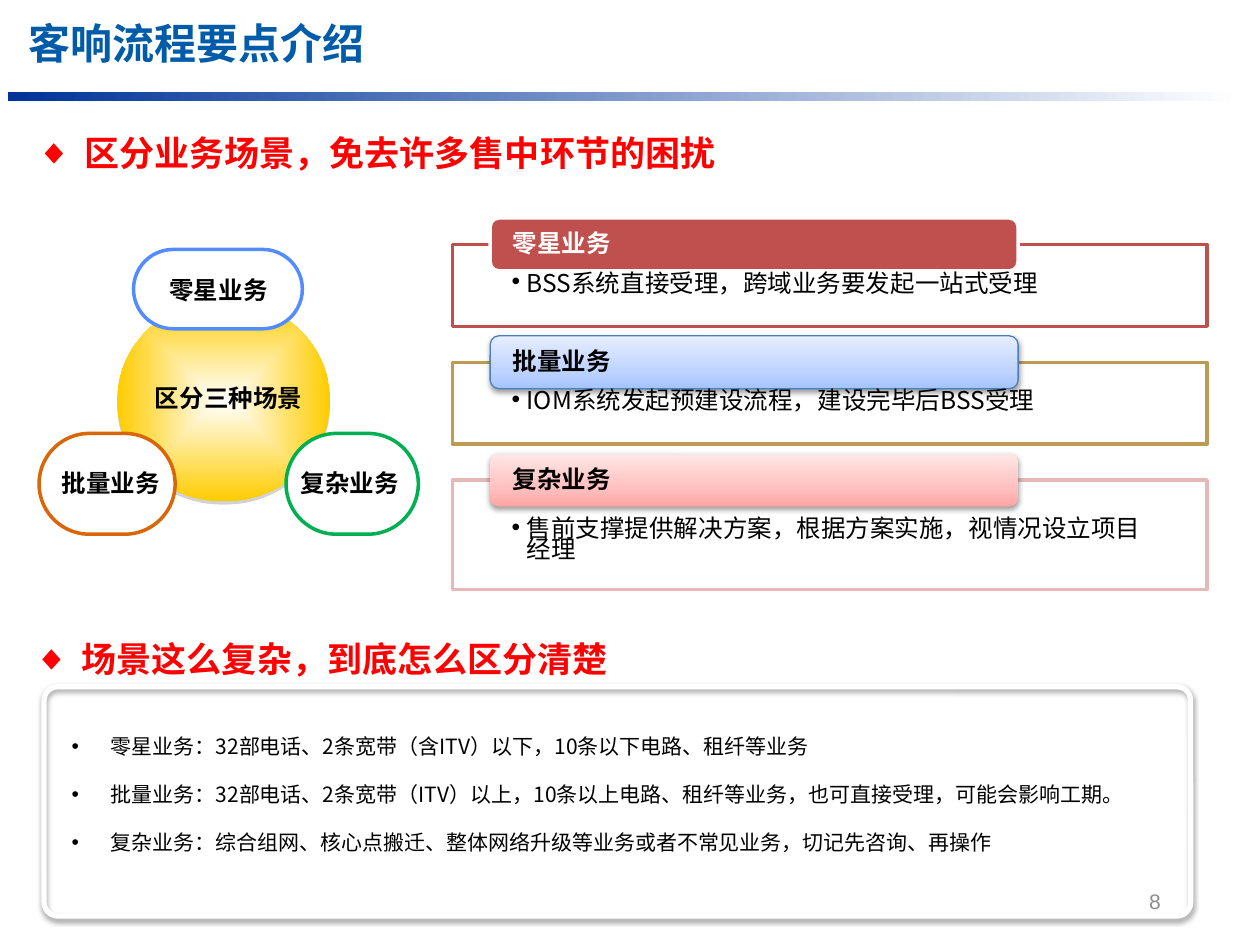
from lxml.etree import SubElement
from pptx import Presentation
from pptx.dml.color import RGBColor
from pptx.enum.shapes import MSO_SHAPE
from pptx.enum.text import MSO_ANCHOR, PP_ALIGN
from pptx.oxml import parse_xml
from pptx.oxml.ns import nsdecls, qn
from pptx.util import Inches, Pt

FONT = "Noto Sans CJK SC"
RECT, ROUND = MSO_SHAPE.RECTANGLE, MSO_SHAPE.ROUNDED_RECTANGLE
SOFT = ("000000", 38, 3.1, 1.6)


def add_box(kind, at, fill=None, line=None, width=2, adj=None, shadow=None, angle=None):
    sp = s.shapes.add_shape(kind, *[Inches(v) for v in at])
    if adj is not None:
        sp.adjustments[0] = adj
    if isinstance(fill, list):
        stops = "".join(
            f'<a:gs pos="{pos * 1000}"><a:srgbClr val="{c}"/></a:gs>' for pos, c in fill)
        if angle is None:
            way = ('<a:path path="shape"><a:fillToRect l="50000" t="50000" '
                   'r="50000" b="50000"/></a:path>')
        else:
            way = f'<a:lin ang="{angle * 60000}" scaled="0"/>'
        sp._element.spPr.insert(2, parse_xml(
            f'<a:gradFill {nsdecls("a")} rotWithShape="1"><a:gsLst>{stops}</a:gsLst>{way}</a:gradFill>'))
    elif fill:
        sp.fill.solid()
        sp.fill.fore_color.rgb = RGBColor.from_string(fill)
    else:
        sp.fill.background()
    if line:
        sp.line.color.rgb = RGBColor.from_string(line)
        sp.line.width = Pt(width)
    else:
        sp.line.fill.background()
    sp.shadow.inherit = False
    if shadow:
        color, alpha, blur, dist = shadow
        effects = sp._element.spPr.find(qn("a:effectLst"))
        effects.append(parse_xml(
            f'<a:outerShdw {nsdecls("a")} blurRad="{Pt(blur)}" dist="{Pt(dist)}" '
            f'dir="5400000" rotWithShape="0"><a:srgbClr val="{color}">'
            f'<a:alpha val="{alpha * 1000}"/></a:srgbClr></a:outerShdw>'))


def add_text(text, at, size=14, color="000000", bold=False, font=FONT, align=PP_ALIGN.LEFT,
             anchor=MSO_ANCHOR.MIDDLE, inset=(0.1, 0.05, 0.1, 0.05), spacing=None,
             before=0, bullet=None, indent=0):
    tf = s.shapes.add_textbox(*[Inches(v) for v in at]).text_frame
    tf.word_wrap = True
    tf.vertical_anchor = anchor
    tf.margin_left, tf.margin_top, tf.margin_right, tf.margin_bottom = [Inches(v) for v in inset]
    for i, line in enumerate(text.split("\n")):
        p = tf.add_paragraph() if i else tf.paragraphs[0]
        p.alignment = align
        p.space_before = Pt(before)
        if spacing:
            p.line_spacing = spacing
        if bullet:
            pPr = p._p.get_or_add_pPr()
            pPr.set("marL", str(Inches(indent)))
            pPr.set("indent", str(-Inches(indent)))
            SubElement(pPr, qn("a:buFont")).set("typeface", "Arial")
            SubElement(pPr, qn("a:buChar")).set("char", bullet)
        r = p.add_run()
        r.text = line
        r.font.size = Pt(size)
        r.font.bold = bold
        r.font.color.rgb = RGBColor.from_string(color)
        r.font.name = font
        SubElement(r._r.get_or_add_rPr(), qn("a:ea")).set("typeface", font)


prs = Presentation()
prs.slide_width, prs.slide_height = Inches(10), Inches(7.5)
s = prs.slides.add_slide(prs.slide_layouts[6])

add_box(RECT, (0.06, 0.73, 9.79, 0.07), [(0, "003399"), (100, "FFFFFF")], angle=0)
add_text("客响流程要点介绍", (0.12, 0.05, 8.3, 0.62), size=24, color="005CA9", bold=True,
         inset=(0.11, 0.06, 0.11, 0.06), spacing=0.95)
add_text("8", (7.06, 6.95, 2.25, 0.4), size=12, color="8C8C8C", font="Arial",
         align=PP_ALIGN.RIGHT)

add_box(MSO_SHAPE.OVAL, (0.93, 2.38, 1.69, 1.6), [(0, "FFFFFF"), (100, "FFCC00")],
        shadow=("808080", 35, 0, 1.8))
add_text("区分三种场景", (1.06, 2.99, 1.51, 0.34), bold=True, align=PP_ALIGN.CENTER)
for name, at, line, label_at in [
    ("零星业务", (1.06, 1.98, 1.34, 0.63), "538CFF", (1.12, 2.13, 1.23, 0.34)),
    ("批量业务", (0.31, 3.44, 1.08, 0.8), "D96709", (0.38, 3.66, 1, 0.34)),
    ("复杂业务", (2.27, 3.44, 1.05, 0.8), "00B050", (2.28, 3.66, 0.99, 0.34)),
]:
    add_box(ROUND, at, "FFFFFF", line, adj=0.5)
    add_text(name, label_at, bold=True, align=PP_ALIGN.CENTER)

cards = [
    ("零星业务", "BSS系统直接受理，跨域业务要发起一站式受理", 0.65, "C0504D", "FFFFFF",
     dict(fill="C0504D", line="FFFFFF")),
    ("批量业务", "IOM系统发起预建设流程，建设完毕后BSS受理", 0.65, "BD9B53", "000000",
     dict(fill=[(0, "A4C4FF"), (35, "BFD4FF"), (100, "E6EEFF")], angle=270,
          line="4B7EBC", width=0.75, shadow=SOFT)),
    ("复杂业务", "售前支撑提供解决方案，根据方案实施，视情况设立项目经理", 0.87, "E6B9B8", "000000",
     dict(fill=[(0, "FFA6A5"), (35, "FFC0BF"), (100, "FFE7E7")], angle=270, shadow=SOFT)),
]
for i, (name, detail, height, border, color, style) in enumerate(cards):
    top = 1.94 + i * 0.935
    at = (3.59, top, 5.99, height)
    add_box(RECT, at, "FFFFFF", border)
    add_box(ROUND, (3.89, top - 0.21, 4.19, 0.42), **style)
    add_text(name, (3.91, top - 0.19, 4.15, 0.38), color=color, bold=True,
             inset=(0.16, 0, 0.16, 0), spacing=0.9)
    add_text(detail, at, anchor=MSO_ANCHOR.TOP, inset=(0.47, 0.33, 0.47, 0),
             spacing=0.7, bullet="•", indent=0.12)

for heading, left, top in [("区分业务场景，免去许多售中环节的困扰", 0.18, 0.92),
                           ("场景这么复杂，到底怎么区分清楚", 0.16, 4.93)]:
    add_text(heading, (left, top, 8.66, 0.62), size=20, color="FF0000", bold=True,
             inset=(0.11, 0.06, 0.11, 0.06), spacing=0.95, bullet="◆", indent=0.38)

add_text("零星业务：32部电话、2条宽带（含ITV）以下，10条以下电路、租纤等业务\n"
         "批量业务：32部电话、2条宽带（ITV）以上，10条以上电路、租纤等业务，也可直接受理，可能会影响工期。\n"
         "复杂业务：综合组网、核心点搬迁、整体网络升级等业务或者不常见业务，切记先咨询、再操作",
         (0.47, 5.67, 8.91, 1.21), size=12, align=PP_ALIGN.JUSTIFY, anchor=MSO_ANCHOR.TOP,
         spacing=1.5, before=6, bullet="•", indent=0.31)
add_box(ROUND, (0.35, 5.45, 9.1, 1.82), line="FFFFFF", width=3, adj=0.06, shadow=SOFT)

prs.save("out.pptx")
